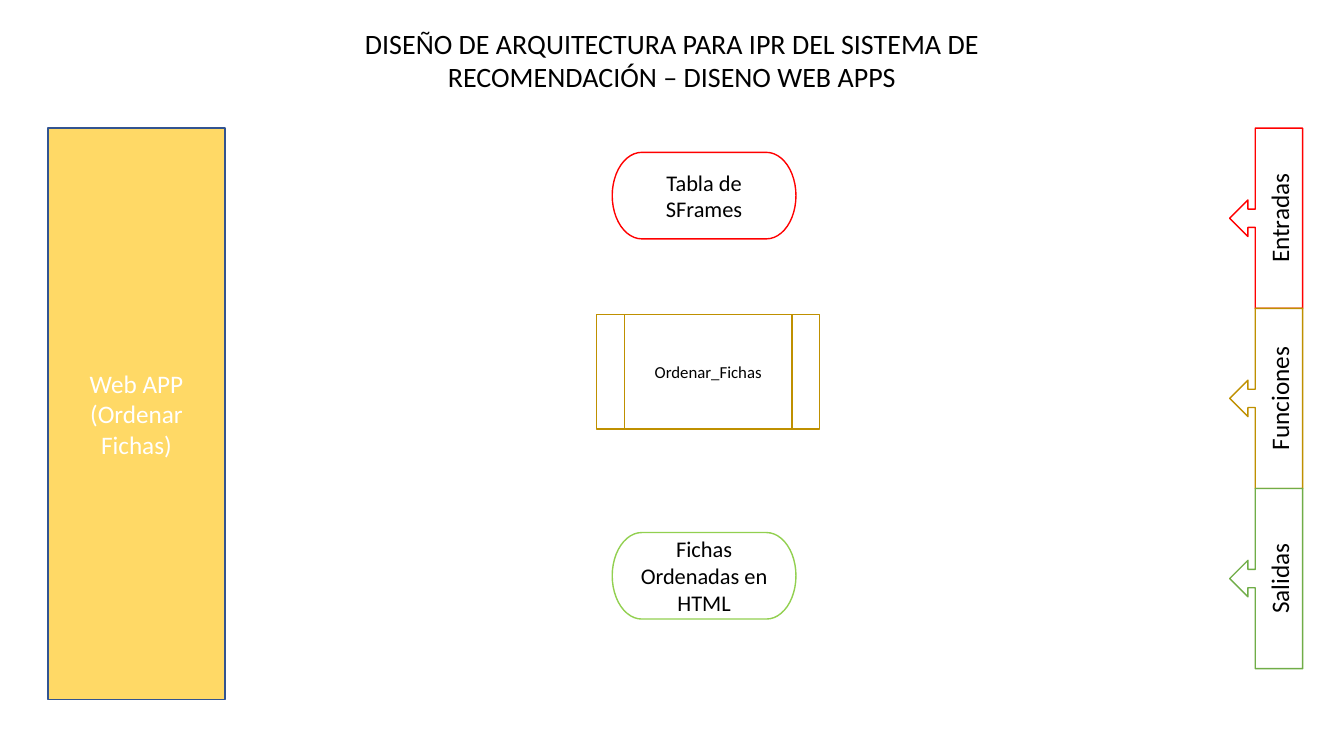
"""Builds the architecture slide for the recommender web app."""
from pptx import Presentation
from pptx.dml.color import RGBColor
from pptx.enum.shapes import MSO_SHAPE
from pptx.enum.text import MSO_ANCHOR, PP_ALIGN
from pptx.util import Cm, Pt

CENTER = PP_ALIGN.CENTER
TOP, MIDDLE = MSO_ANCHOR.TOP, MSO_ANCHOR.MIDDLE
RECTANGLE = MSO_SHAPE.RECTANGLE
PROCESS = MSO_SHAPE.FLOWCHART_PREDEFINED_PROCESS
TERMINATOR = MSO_SHAPE.FLOWCHART_TERMINATOR
CALLOUT = MSO_SHAPE.LEFT_ARROW_CALLOUT

TITLE_ONLY = 5
BLACK, WHITE = "000000", "FFFFFF"
RED, GOLD, GREEN, LIME = "FF0000", "BF9000", "70AD47", "92D050"
YELLOW, NAVY = "FFD966", "325491"


def color(hex_code):
    """Turn a hex string into a colour."""
    return RGBColor.from_string(hex_code)


class Diagram:
    """Hold the font and the current slide and draw its elements."""

    def __init__(self, slide, font="Calibri"):
        self.slide = slide
        self.font = font

    def label(self, shape, text, size, ink, anchor=MIDDLE):
        """Put one centred run into a shape."""
        frame = shape.text_frame
        frame.word_wrap = True
        frame.vertical_anchor = anchor
        paragraph = frame.paragraphs[0]
        paragraph.alignment = CENTER
        run = paragraph.add_run()
        run.text = text
        run.font.name = self.font
        run.font.size = Pt(size)
        run.font.color.rgb = color(ink)

    def title(self, text, left, top, width, height):
        """Place and format the title placeholder."""
        heading = self.slide.shapes.title
        heading.left, heading.top = Cm(left), Cm(top)
        heading.width, heading.height = Cm(width), Cm(height)
        self.label(heading, text, 20, BLACK, TOP)

    def block(self, kind, box, text, size, line, fill=None, ink=BLACK):
        """Draw an outlined block with its label."""
        block = self.slide.shapes.add_shape(kind, *map(Cm, box))
        block.shadow.inherit = False
        if fill:
            block.fill.solid()
            block.fill.fore_color.rgb = color(fill)
        else:
            block.fill.background()
        block.line.color.rgb = color(line)
        block.line.width = Pt(1)
        self.label(block, text, size, ink)
        return block

    def layer_tag(self, box, text, line):
        """Draw a callout whose label reads upwards."""
        tag = self.block(CALLOUT, box, text, 18, line, WHITE)
        tag.text_frame._txBody.bodyPr.set("vert", "vert270")


def main():
    """Build and save the slide."""
    presentation = Presentation()
    presentation.slide_width, presentation.slide_height = Cm(33.87), Cm(19.05)
    layout = presentation.slide_layouts[TITLE_ONLY]
    diagram = Diagram(presentation.slides.add_slide(layout))

    diagram.title(
        "DISEÑO DE ARQUITECTURA PARA IPR DEL SISTEMA DE "
        "RECOMENDACIÓN – DISENO WEB APPS",
        7.65, 0.53, 18.57, 1.96)

    layers_top, layer_height = 3.23, 4.54
    diagram.block(RECTANGLE, (1.21, layers_top, 4.46, 14.4),
                  "Web APP (Ordenar Fichas)", 18, NAVY, YELLOW, WHITE)
    diagram.block(PROCESS, (15.04, 7.93, 5.62, 2.88),
                  "Ordenar_Fichas", 12, GOLD)

    layers = (("Entradas", RED), ("Funciones", GOLD), ("Salidas", GREEN))
    for index, (layer, line) in enumerate(layers):
        top = layers_top + index * layer_height
        diagram.layer_tag((30.99, top, 1.84, layer_height), layer, line)

    endpoints = (("Tabla de SFrames", 3.84, RED),
                 ("Fichas Ordenadas en HTML", 13.42, LIME))
    for data, top, line in endpoints:
        diagram.block(TERMINATOR, (15.43, top, 4.63, 2.18),
                      data, 16, line, WHITE)

    presentation.save("out.pptx")


if __name__ == "__main__":
    main()
